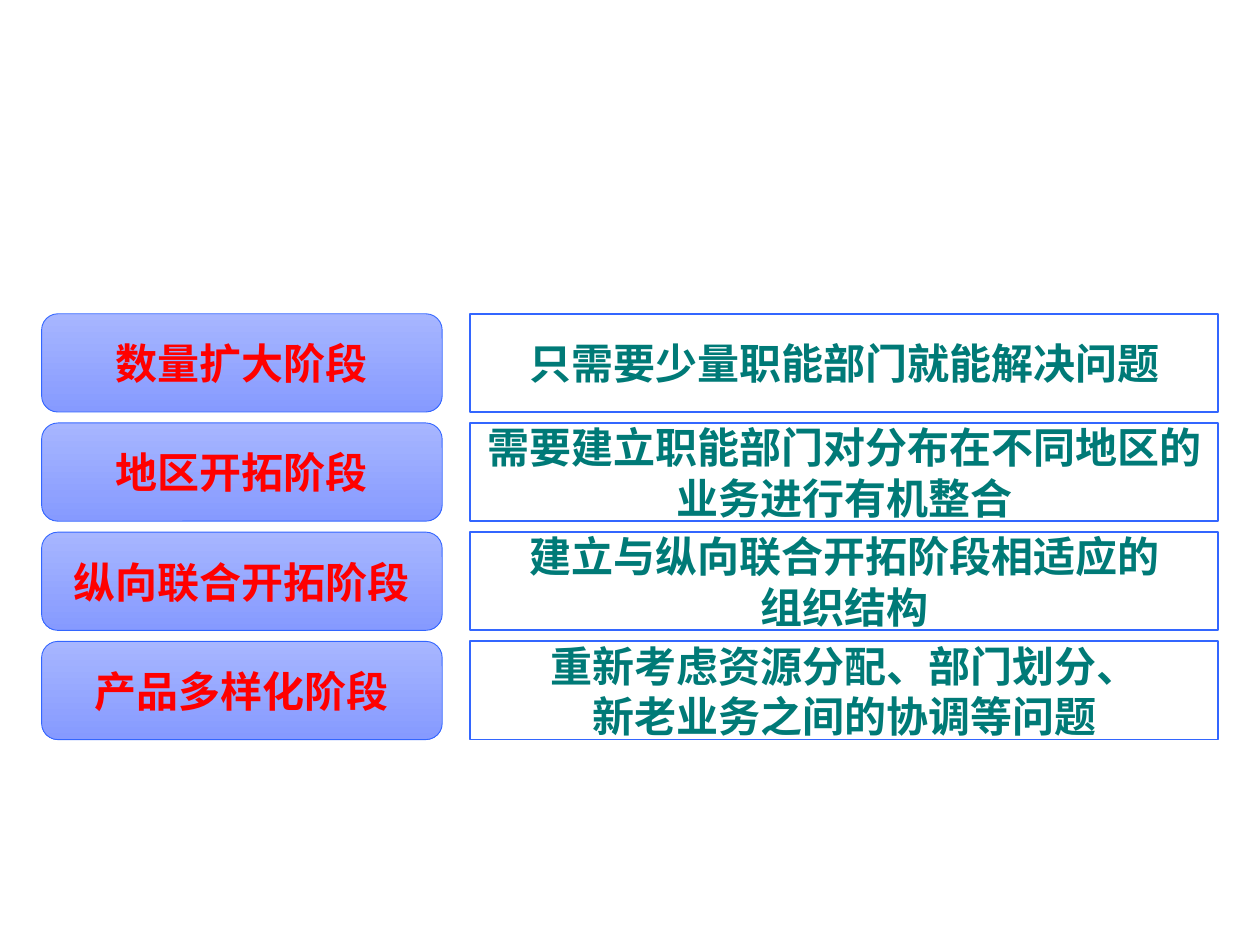
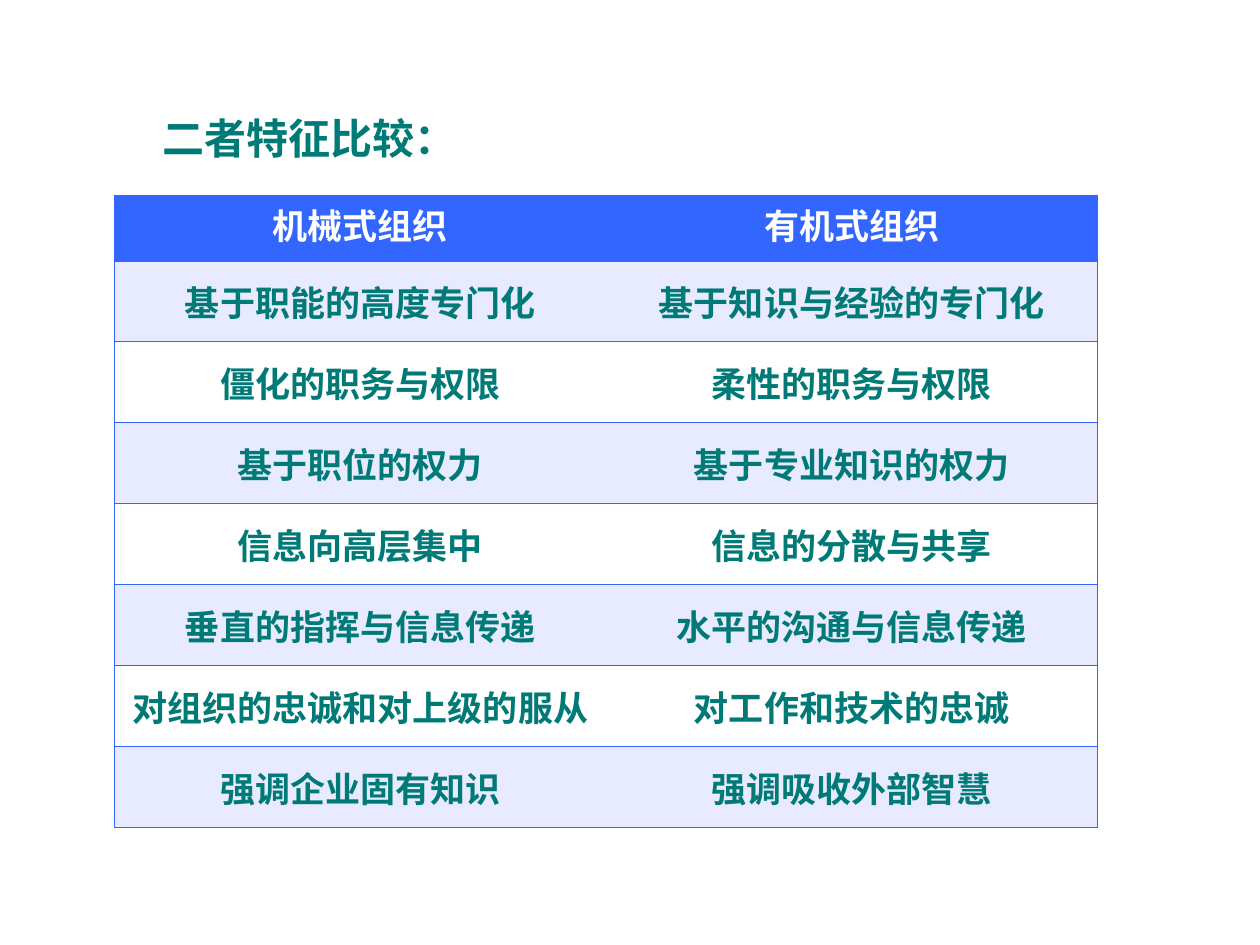
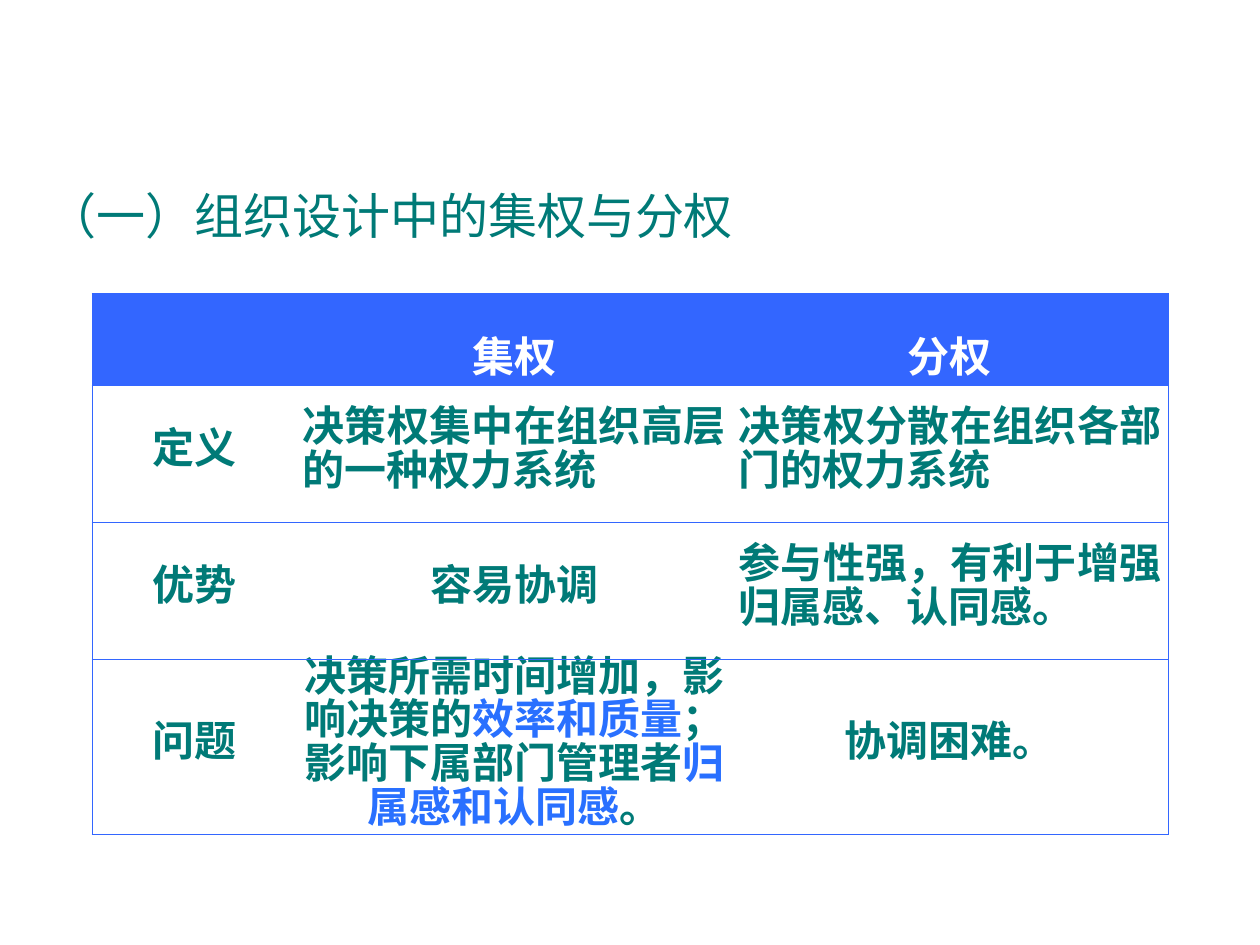
from dataclasses import dataclass
from lxml.etree import SubElement
from pptx import Presentation
from pptx.dml.color import RGBColor
from pptx.enum.shapes import MSO_SHAPE
from pptx.enum.text import MSO_ANCHOR, MSO_AUTO_SIZE, PP_ALIGN
from pptx.oxml.ns import qn
from pptx.util import Inches, Pt


@dataclass(frozen=True)
class Theme:
    blue: str = "3366FF"
    accent: str = "2970FF"
    teal: str = "007A77"
    red: str = "FF0000"
    white: str = "FFFFFF"
    band: str = "E8EAFF"
    grad_top: str = "A7B6FF"
    grad_bottom: str = "869AFF"
    font: str = "Arial"
    cjk: str = "Noto Sans CJK SC"
    title: int = 28
    body: int = 24
    small: int = 20
    leading: int = 25


T = Theme()
CENTER, JUSTIFY, LEFT = PP_ALIGN.CENTER, PP_ALIGN.JUSTIFY, PP_ALIGN.LEFT
TITLE_ONLY, BLANK = 5, 6

STAGES = [
    ("数量扩大阶段", ["只需要少量职能部门就能解决问题"]),
    ("地区开拓阶段", ["需要建立职能部门对分布在不同地区的业务进行有机整合"]),
    ("纵向联合开拓阶段", ["建立与纵向联合开拓阶段相适应的", "组织结构"]),
    ("产品多样化阶段", ["重新考虑资源分配、部门划分、", "新老业务之间的协调等问题"]),
]

FEATURES_TITLE = "二者特征比较："
FEATURES = [
    ("机械式组织", "有机式组织"),
    ("基于职能的高度专门化", "基于知识与经验的专门化"),
    ("僵化的职务与权限", "柔性的职务与权限"),
    ("基于职位的权力", "基于专业知识的权力"),
    ("信息向高层集中", "信息的分散与共享"),
    ("垂直的指挥与信息传递", "水平的沟通与信息传递"),
    ("对组织的忠诚和对上级的服从", "对工作和技术的忠诚"),
    ("强调企业固有知识", "强调吸收外部智慧"),
]

POWER_TITLE = "（一）组织设计中的集权与分权"
PROBLEM = [
    ("决策所需时间增加，影响决策的", T.teal),
    ("效率和质量", T.accent),
    ("；影响下属部门管理者", T.teal),
    ("归属感和认同感", T.accent),
    ("。", T.teal),
]
POWER = [
    ("", "集权", "分权"),
    ("定义", "决策权集中在组织高层的一种权力系统", "决策权分散在组织各部门的权力系统"),
    ("优势", "容易协调", "参与性强，有利于增强归属感、认同感。"),
    ("问题", PROBLEM, "协调困难。"),
]
JUSTIFIED = {(1, 1), (1, 2), (2, 2)}


def rgb(color):
    return RGBColor.from_string(color)


def add_run(p, text, size, color, bold=True, font=T.font):
    r = p.add_run()
    r.text = text
    r.font.size, r.font.bold, r.font.name = Pt(size), bold, font
    r.font.color.rgb = rgb(color)
    SubElement(r.font._element, qn("a:ea")).set("typeface", T.cjk)


def add_box(s, preset, box, lines, color, line_width):
    sp = s.shapes.add_shape(preset, *map(Inches, box))
    sp.shadow.inherit = False
    sp.line.color.rgb = rgb(T.blue)
    sp.line.width = Pt(line_width)
    tf = sp.text_frame
    tf.word_wrap = True
    tf.vertical_anchor = MSO_ANCHOR.MIDDLE
    for i, line in enumerate(lines):
        p = tf.add_paragraph() if i else tf.paragraphs[0]
        p.alignment = CENTER
        add_run(p, line, T.body, color)
    return sp


def set_title(s, text, box, anchor, size, bold, font):
    sp = s.shapes.title
    sp.left, sp.top, sp.width, sp.height = map(Inches, box)
    tf = sp.text_frame
    tf.word_wrap = True
    tf.auto_size = MSO_AUTO_SIZE.NONE
    tf.vertical_anchor = anchor
    p = tf.paragraphs[0]
    p.alignment = LEFT
    add_run(p, text, size, T.teal, bold, font)
    return p


def set_borders(cell, width, sides):
    tcPr = cell._tc.get_or_add_tcPr()
    for side in "LRTB":
        ln = SubElement(tcPr, qn(f"a:ln{side}"))
        if side in sides:
            ln.set("w", str(Pt(width)))
            fill = SubElement(ln, qn("a:solidFill"))
            SubElement(fill, qn("a:srgbClr")).set("val", T.blue)
        else:
            SubElement(ln, qn("a:noFill"))


def add_grid(s, left, top, cols, heights, rows, border, size, band):
    frame = s.shapes.add_table(len(rows), len(cols), Inches(left), Inches(top),
                               Inches(sum(cols)), Inches(sum(heights)))
    table = frame.table
    table.horz_banding = False
    for column, width in zip(table.columns, cols):
        column.width = Inches(width)
    last = len(cols) - 1
    for i, (row, height) in enumerate(zip(rows, heights)):
        table.rows[i].height = Inches(height)
        fill = T.blue if i == 0 else band if i % 2 else T.white
        for j, content in enumerate(row):
            cell = table.cell(i, j)
            sides = "TB" + ("L" if j == 0 else "") + ("R" if j == last else "")
            set_borders(cell, border, sides)
            cell.fill.solid()
            cell.fill.fore_color.rgb = rgb(fill)
            cell.vertical_anchor = MSO_ANCHOR.MIDDLE
            cell.margin_left = cell.margin_right = Inches(0.05)
            cell.margin_top = cell.margin_bottom = 0
            p = cell.text_frame.paragraphs[0]
            p.alignment = CENTER
            color = T.teal if i else T.white
            runs = [(content, color)] if isinstance(content, str) else content
            for text, run_color in runs:
                if text:
                    add_run(p, text, size, run_color)
    return table


def build_stages(prs):
    s = prs.slides.add_slide(prs.slide_layouts[BLANK])
    top, pitch, height = 2.49, 2.6 / 3, 0.78
    for i, (stage, lines) in enumerate(STAGES):
        y = top + i * pitch
        sp = add_box(s, MSO_SHAPE.ROUNDED_RECTANGLE, (0.33, y, 3.18, height), [stage], T.red, 0.5)
        sp.fill.gradient()
        sp.fill.gradient_angle = 270
        for stop, color in zip(sp.fill.gradient_stops, (T.grad_top, T.grad_bottom)):
            stop.color.rgb = rgb(color)
        for stop, position in zip(sp.fill.gradient_stops, (0, 1)):
            stop.position = position
        sp = add_box(s, MSO_SHAPE.RECTANGLE, (3.73, y, 5.94, height), lines, T.teal, 1)
        sp.fill.solid()
        sp.fill.fore_color.rgb = rgb(T.white)


def build_features(prs):
    s = prs.slides.add_slide(prs.slide_layouts[TITLE_ONLY])
    p = set_title(s, FEATURES_TITLE, (0.69, 0.84, 8.62, 0.72), MSO_ANCHOR.TOP, T.body, True, T.font)
    p._p.get_or_add_pPr().set("indent", str(Inches(0.5)))
    body = len(FEATURES) - 1
    table = add_grid(s, 0.91, 1.55, [3.9, 3.9], [0.52] + [4.5 / body] * body,
                     FEATURES, 1, T.small, T.band)
    for cell in table.rows[0].cells:
        cell.text_frame.paragraphs[0].line_spacing = Pt(T.leading)


def build_power(prs):
    s = prs.slides.add_slide(prs.slide_layouts[TITLE_ONLY])
    p = set_title(s, POWER_TITLE, (0.28, 1.31, 9.37, 0.85), MSO_ANCHOR.MIDDLE, T.title, False, T.cjk)
    p.line_spacing = 0.9
    table = add_grid(s, 0.73, 2.33, [1.62, 3.46, 3.46], [0.57, 1.09, 1.09, 1.24],
                     POWER, 0.5, T.body, T.white)
    for i, row in enumerate(table.rows):
        for j, cell in enumerate(row.cells):
            p = cell.text_frame.paragraphs[0]
            p.line_spacing = Pt(T.leading) if i else 1.5
            if i == 0:
                cell.vertical_anchor = MSO_ANCHOR.TOP
            if (i, j) in JUSTIFIED:
                p.alignment = JUSTIFY


def main():
    prs = Presentation()
    prs.slide_width, prs.slide_height = Inches(10), Inches(7.5)
    build_stages(prs)
    build_features(prs)
    build_power(prs)
    prs.save("out.pptx")


if __name__ == "__main__":
    main()
